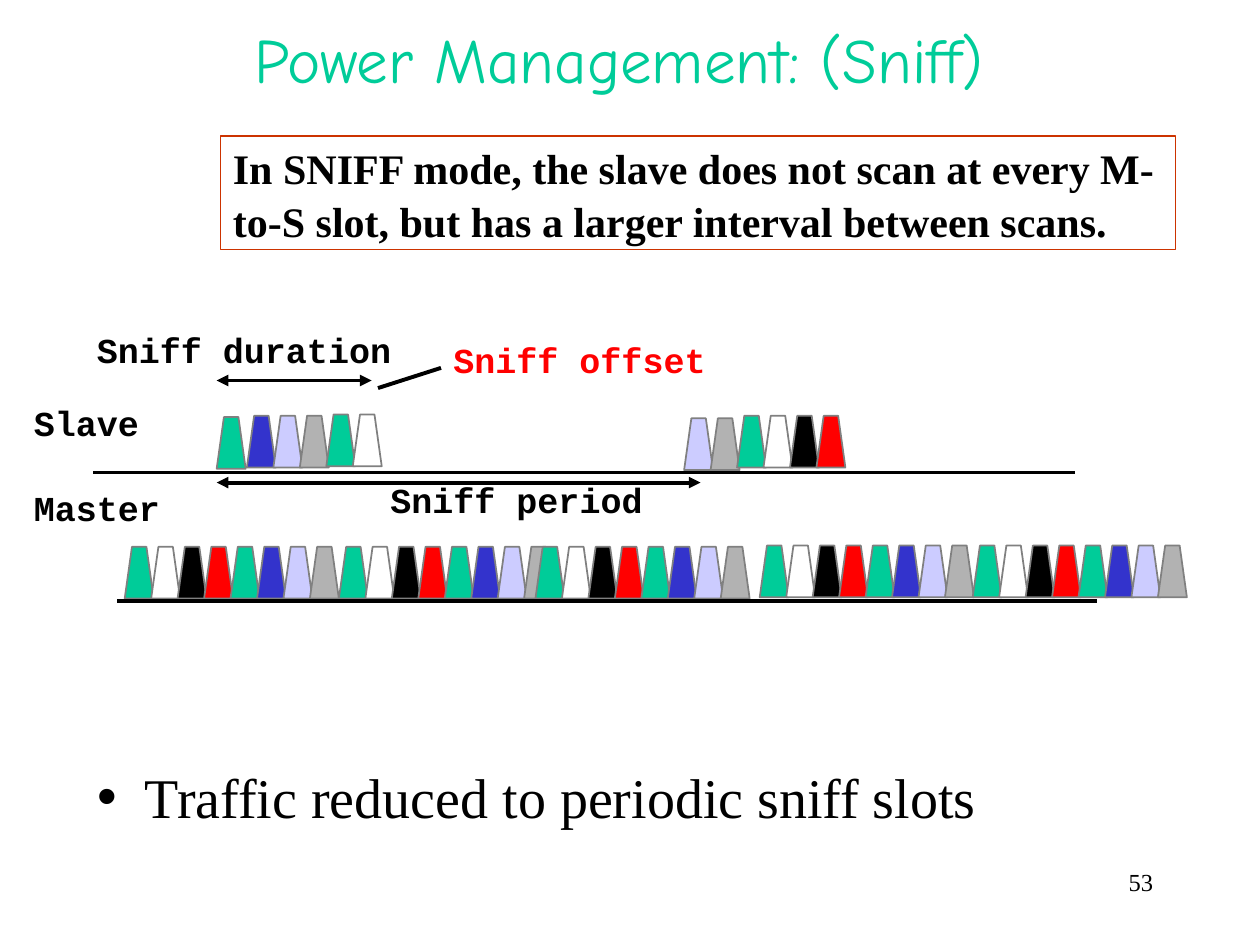
import pptx
import pptx.dml.color
import pptx.enum.shapes
import pptx.enum.text
import pptx.oxml
import pptx.oxml.ns
import pptx.util
from dataclasses import dataclass
from pptx.util import Inches


@dataclass(frozen=True)
class Theme:
    """Colours, fonts and type sizes of the slide."""
    green: str = "00CC99"
    white: str = "FFFFFF"
    black: str = "000000"
    red: str = "FF0000"
    blue: str = "3333CC"
    lavender: str = "CCCCFF"
    gray: str = "B2B2B2"
    slot_line: str = "808080"
    frame: str = "CC3300"
    title_font: str = "Comic Neue"
    label_font: str = "Courier New"
    body_font: str = "Times New Roman"
    title_size: int = 36
    body_size: int = 32
    note_size: int = 24
    label_size: int = 20
    number_size: int = 14


THEME = Theme()
ALIGN = pptx.enum.text.PP_ALIGN
ANCHOR = pptx.enum.text.MSO_ANCHOR
SLOT_PITCH, SLOT_WIDTH, SLOT_HEIGHT = 0.21, 0.23, 0.41


def rgb(color):
    """Return the colour object for a hex string."""
    return pptx.dml.color.RGBColor.from_string(color)


def place(shape, left, top, width, height):
    """Move and size a shape, in inches."""
    shape.left, shape.top = Inches(left), Inches(top)
    shape.width, shape.height = Inches(width), Inches(height)


def write(shape, text, font, size, color=THEME.black, bold=False,
          align=ALIGN.LEFT, anchor=ANCHOR.TOP, wrap=True):
    """Write one formatted paragraph in a shape and return it."""
    frame = shape.text_frame
    frame.word_wrap = wrap
    frame.auto_size = pptx.enum.text.MSO_AUTO_SIZE.NONE
    frame.vertical_anchor = anchor
    paragraph = frame.paragraphs[0]
    paragraph.alignment = align
    run = paragraph.add_run()
    run.text = text
    run.font.name = font
    run.font.size = pptx.util.Pt(size)
    run.font.bold = bold
    run.font.color.rgb = rgb(color)
    return paragraph


def add_title(slide, text):
    """Fill the title placeholder."""
    title = slide.shapes.title
    place(title, 0.58, 0, 8.67, 0.92)
    write(title, text, THEME.title_font, THEME.title_size, THEME.green,
          align=ALIGN.CENTER, anchor=ANCHOR.MIDDLE)


def add_bullet(slide, text):
    """Fill the body placeholder with one bulleted line."""
    body = slide.placeholders[1]
    place(body, 0.67, 6, 8.52, 0.77)
    paragraph = write(body, text, THEME.body_font, THEME.body_size)
    paragraph.space_before = pptx.util.Pt(8)
    properties = paragraph._p.get_or_add_pPr()
    properties.set("marL", str(Inches(0.38)))
    properties.set("indent", str(Inches(-0.38)))
    bullet = pptx.oxml.parse_xml(
        f'<a:buChar {pptx.oxml.ns.nsdecls("a")} char="\u2022"/>')
    properties.append(bullet)


def add_note(slide, text):
    """Add the framed explanation."""
    note = slide.shapes.add_shape(
        pptx.enum.shapes.MSO_SHAPE.RECTANGLE,
        Inches(1.75), Inches(1.08), Inches(7.58), Inches(0.9))
    note.shadow.inherit = False
    note.fill.background()
    note.line.color.rgb = rgb(THEME.frame)
    note.line.width = pptx.util.Pt(0.75)
    paragraph = write(note, text, THEME.body_font, THEME.note_size,
                      bold=True, anchor=ANCHOR.MIDDLE)
    paragraph.line_spacing = 1.05


def add_label(slide, text, left, top, width, color=THEME.black):
    """Add a bold diagram label."""
    label = slide.shapes.add_textbox(
        Inches(left), Inches(top), Inches(width), Inches(0.44))
    write(label, text, THEME.label_font, THEME.label_size, color,
          bold=True, wrap=False)


def add_page_number(slide, text):
    """Add the right-aligned page number."""
    number = slide.shapes.add_textbox(
        Inches(7.17), Inches(6.83), Inches(2.08), Inches(0.5))
    write(number, text, THEME.body_font, THEME.number_size, align=ALIGN.RIGHT)


def add_line(slide, start, end, arrows=False):
    """Add a black line, with arrowheads at both ends if asked."""
    line = slide.shapes.add_connector(
        pptx.enum.shapes.MSO_CONNECTOR.STRAIGHT,
        Inches(start[0]), Inches(start[1]), Inches(end[0]), Inches(end[1]))
    line.line.color.rgb = rgb(THEME.black)
    line.line.width = pptx.util.Pt(2.25)
    namespace = pptx.oxml.ns.nsdecls("a")
    if arrows:
        outline = line.line._get_or_add_ln()
        for tag in ("headEnd", "tailEnd"):
            outline.append(pptx.oxml.parse_xml(
                f'<a:{tag} {namespace} type="triangle"/>'))
    line._element.spPr.append(
        pptx.oxml.parse_xml(f'<a:effectLst {namespace}/>'))


def add_slots(slide, left, top, colors):
    """Add a run of evenly spaced time slots."""
    for index, color in enumerate(colors):
        slot = slide.shapes.add_shape(
            pptx.enum.shapes.MSO_SHAPE.TRAPEZOID,
            Inches(left + index * SLOT_PITCH), Inches(top),
            Inches(SLOT_WIDTH), Inches(SLOT_HEIGHT))
        slot.shadow.inherit = False
        slot.fill.solid()
        slot.fill.fore_color.rgb = rgb(color)
        slot.line.color.rgb = rgb(THEME.slot_line)
        slot.line.width = pptx.util.Pt(1)


def add_slave_row(slide):
    """Draw the slave's slots, baseline and sniff measures."""
    theme = THEME
    add_label(slide, "Slave", 0.17, 3.14, 1.03)
    add_label(slide, "Sniff period", 3, 3.75, 2.33)
    add_label(slide, "Sniff offset", 3.5, 2.64, 2.2, theme.red)
    add_label(slide, "Sniff duration", 0.67, 2.56, 2.54)
    add_line(slide, (1.72, 3.83), (5.56, 3.83), arrows=True)
    add_line(slide, (1.72, 3.02), (2.95, 3.02), arrows=True)
    add_line(slide, (3, 3.08), (3.5, 2.92))
    add_slots(slide, 1.72, 3.31, [theme.green])
    add_slots(slide, 5.43, 3.32, [theme.lavender, theme.gray])
    add_slots(slide, 5.85, 3.3,
              [theme.green, theme.white, theme.black, theme.red])
    add_line(slide, (0.74, 3.75), (8.53, 3.75))
    add_slots(slide, 1.96, 3.3, [theme.blue, theme.lavender, theme.gray])
    add_slots(slide, 2.59, 3.29, [theme.green, theme.white])


def add_master_row(slide):
    """Draw the master's repeated slot cycle and baseline."""
    theme = THEME
    cycle = [theme.green, theme.white, theme.black, theme.red,
             theme.green, theme.blue, theme.lavender, theme.gray]
    add_label(slide, "Master", 0.17, 3.81, 1.2)
    for left, top in ((0.99, 4.34), (2.69, 4.34), (4.25, 4.34),
                      (6.03, 4.33), (7.72, 4.33)):
        add_slots(slide, left, top, cycle)
    add_line(slide, (0.93, 4.77), (8.71, 4.77))


def main():
    """Build and save the slide."""
    presentation = pptx.Presentation()
    presentation.slide_width = Inches(10)
    presentation.slide_height = Inches(7.5)
    slide = presentation.slides.add_slide(presentation.slide_layouts[1])
    add_title(slide, "Power Management: (Sniff)")
    add_bullet(slide, "Traffic reduced to periodic sniff slots")
    add_master_row(slide)
    add_slave_row(slide)
    add_note(slide, "In SNIFF mode, the slave does not scan at every "
                    "M-to-S slot, but has a larger interval between scans.")
    add_page_number(slide, "53")
    presentation.save("out.pptx")


main()
